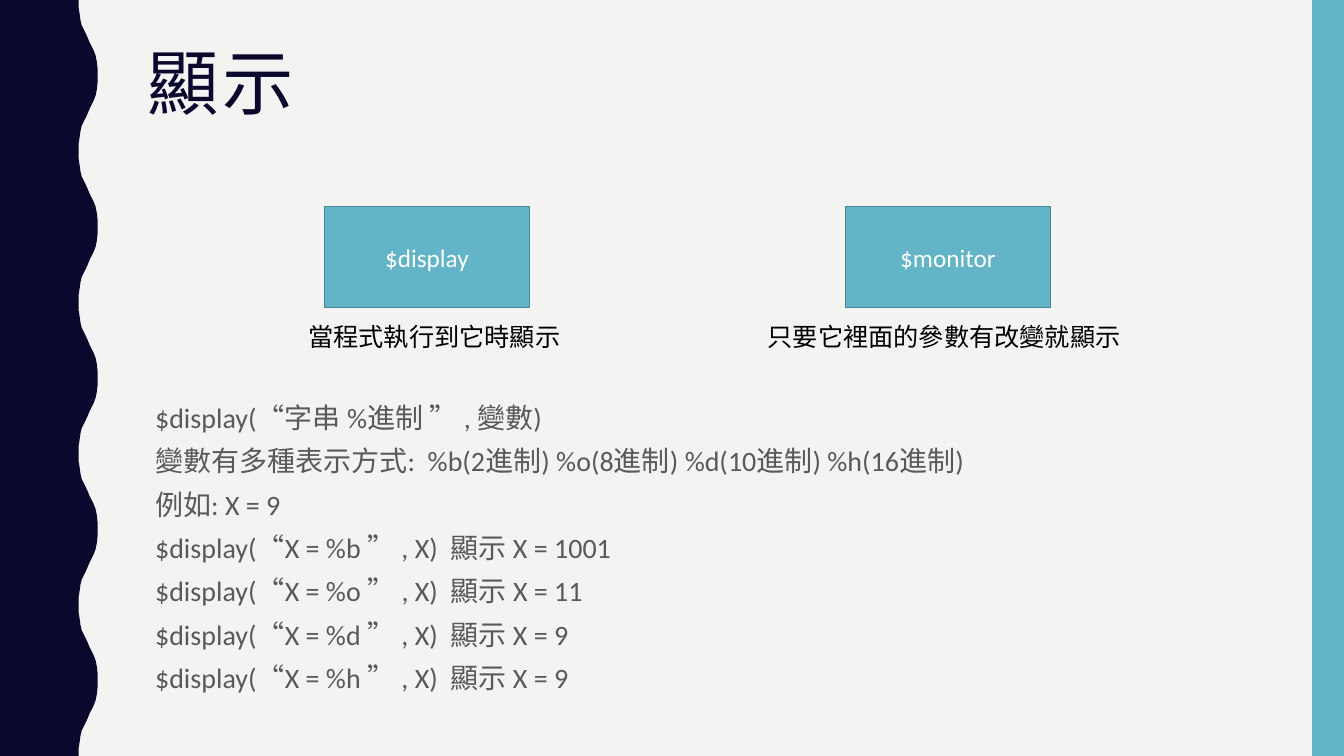
from dataclasses import dataclass

from pptx import Presentation
from pptx.dml.color import RGBColor
from pptx.enum.shapes import MSO_SHAPE
from pptx.enum.text import MSO_ANCHOR, PP_ALIGN
from pptx.util import Cm, Pt


@dataclass(frozen=True)
class Theme:
    paper: str = "F3F3F2"
    navy: str = "0B082E"
    teal: str = "62B4C6"
    teal_edge: str = "498592"
    body: str = "595959"
    caption: str = "000000"
    label: str = "FFFFFF"
    title_font: str = "Arial Narrow"
    text_font: str = "Calibri"
    title_size: int = 51
    body_size: int = 20
    label_size: int = 18


THEME = Theme()

TITLE = "顯示"
COMMANDS = [
    ("$display", 8.18, "當程式執行到它時顯示", 7.52, 6.91),
    ("$monitor", 21.31, "只要它裡面的參數有改變就顯示", 19.1, 9.45),
]
EXAMPLES = [("b", "1001"), ("o", "11"), ("d", "9"), ("h", "9")]
BODY = [
    "$display(“字串 %進制 ” , 變數)",
    "變數有多種表示方式:  %b(2進制) %o(8進制) %d(10進制) %h(16進制)",
    "例如: X = 9",
] + [f"$display(“X = %{base} ” , X)  顯示 X = {value}" for base, value in EXAMPLES]

WIDTH, HEIGHT = 33.87, 19.05
WAVES = 5
PERIOD = HEIGHT / WAVES
HALF_WAVE = [
    (1.98, 0), (1.98, 0.18), (2.01, 0.36), (2.03, 0.51), (2.06, 0.64),
    (2.11, 0.74), (2.16, 0.84), (2.21, 0.95), (2.26, 1.07), (2.31, 1.17),
    (2.36, 1.27), (2.41, 1.4), (2.44, 1.55), (2.46, 1.73), (2.46, 1.9),
]


def color(code):
    return RGBColor.from_string(code)


def paint(sp, fill, edge=None):
    sp.shadow.inherit = False
    sp.fill.solid()
    sp.fill.fore_color.rgb = color(fill)
    if edge:
        sp.line.color.rgb = color(edge)
        sp.line.width = Pt(1)
    else:
        sp.line.fill.background()


def add_rect(s, box, fill, edge=None):
    sp = s.shapes.add_shape(MSO_SHAPE.RECTANGLE, *map(Cm, box))
    paint(sp, fill, edge)
    return sp


def write(sp, lines, size, ink, font=THEME.text_font):
    tf = sp.text_frame
    tf.word_wrap = True
    for i, line in enumerate(lines):
        p = tf.add_paragraph() if i else tf.paragraphs[0]
        p.text = line
        p.font.size = Pt(size)
        p.font.name = font
        p.font.color.rgb = color(ink)
    return tf


def add_text(s, box, lines, *style):
    return write(s.shapes.add_textbox(*map(Cm, box)), lines, *style)


def add_wave(s):
    wave = HALF_WAVE + [(x, PERIOD - y) for x, y in reversed(HALF_WAVE)]
    edge = [(x, y + n * PERIOD) for n in range(WAVES) for x, y in wave]
    outline = [(Cm(x), Cm(y)) for x, y in edge + [(0, HEIGHT)]]
    builder = s.shapes.build_freeform(0, 0)
    builder.add_line_segments(outline, close=True)
    paint(builder.convert_to_shape(), THEME.navy)


prs = Presentation()
prs.slide_width, prs.slide_height = Cm(WIDTH), Cm(HEIGHT)
s = prs.slides.add_slide(prs.slide_layouts[6])
s.background.fill.solid()
s.background.fill.fore_color.rgb = color(THEME.paper)

add_wave(s)
add_rect(s, (33.07, 0, 0.8, HEIGHT), THEME.teal)

tf = add_text(s, (3.48, 1.07, 28.27, 4.14), [TITLE],
              THEME.title_size, THEME.navy, THEME.title_font)
tf.paragraphs[0].line_spacing = 0.9
tf.paragraphs[0].runs[0].font._element.set("spc", "200")

tf = add_text(s, (3.66, 9.96, 28.27, 7.92), BODY, THEME.body_size, THEME.body)
for p in tf.paragraphs:
    p.space_before = Pt(7)

for name, left, caption, caption_left, caption_width in COMMANDS:
    sp = add_rect(s, (left, 5.21, 5.16, 2.54), THEME.teal, THEME.teal_edge)
    tf = write(sp, [name], THEME.label_size, THEME.label)
    tf.vertical_anchor = MSO_ANCHOR.MIDDLE
    tf.paragraphs[0].alignment = PP_ALIGN.CENTER
    add_text(s, (caption_left, 7.98, caption_width, 1.02), [caption],
             THEME.label_size, THEME.caption)

prs.save("out.pptx")
